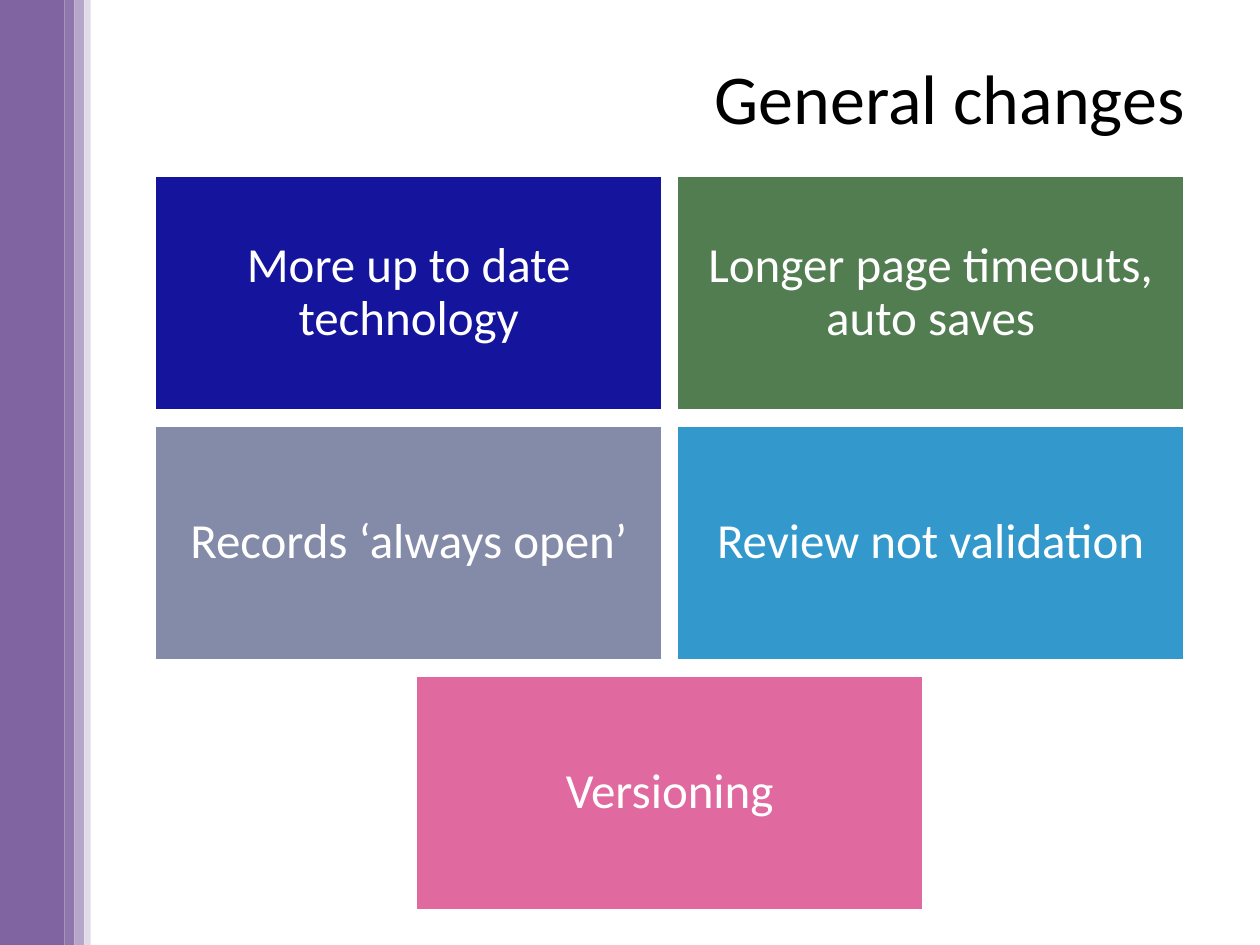
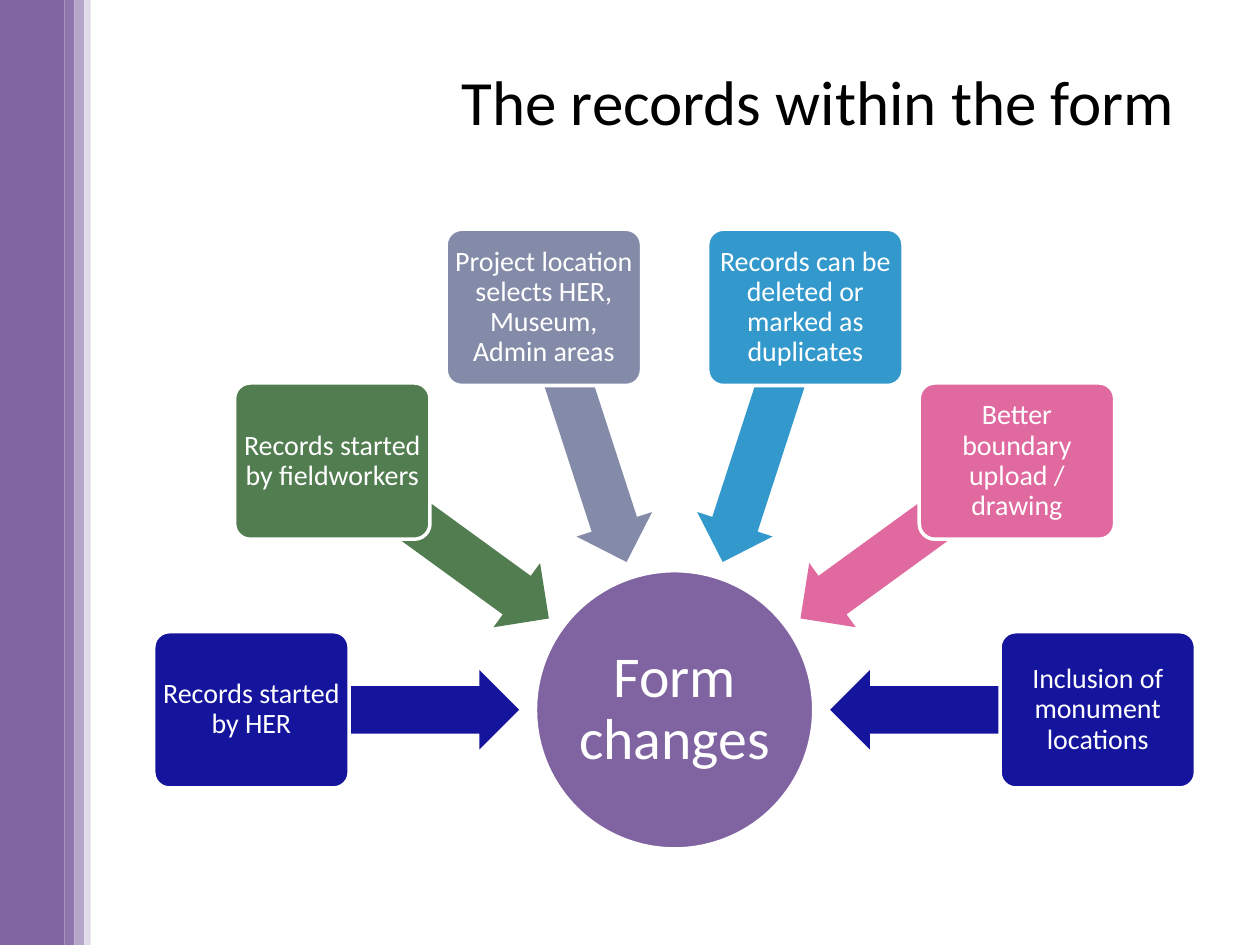
from math import cos, radians, sin

from pptx import Presentation
from pptx.dml.color import RGBColor
from pptx.enum.shapes import MSO_SHAPE as SHAPE
from pptx.enum.text import MSO_ANCHOR as ANCHOR, PP_ALIGN as ALIGN
from pptx.util import Cm, Pt

FONT = "Calibri"
WHITE = RGBColor(0xFF, 0xFF, 0xFF)
BLACK = RGBColor(0x00, 0x00, 0x00)
PURPLE = RGBColor(0x80, 0x64, 0xA2)
PURPLE_MID = RGBColor(0x8F, 0x77, 0xAD)
PURPLE_LIGHT = RGBColor(0xB6, 0xA6, 0xCA)
PURPLE_PALE = RGBColor(0xE1, 0xDB, 0xE9)
NAVY = RGBColor(0x14, 0x14, 0x9C)
GREEN = RGBColor(0x52, 0x7D, 0x51)
SLATE = RGBColor(0x84, 0x8B, 0xA8)
BLUE = RGBColor(0x33, 0x99, 0xCC)
PINK = RGBColor(0xE0, 0x6A, 0x9F)

SLIDE_W, SLIDE_H = 25.4, 19.05
STRIPES = [(1.3, PURPLE), (0.2, PURPLE_MID), (0.2, PURPLE_LIGHT), (0.13, PURPLE_PALE)]

CHANGES = [
    ("More up to date technology", NAVY),
    ("Longer page timeouts, auto saves", GREEN),
    ("Records ‘always open’", SLATE),
    ("Review not validation", BLUE),
    ("Versioning", PINK),
]
RECORDS = [
    ("Records started by HER", NAVY),
    ("Records started by fieldworkers", GREEN),
    ("Project location selects HER, Museum, Admin areas", SLATE),
    ("Records can be deleted or marked as duplicates", BLUE),
    ("Better boundary upload / drawing", PINK),
    ("Inclusion of monument locations", NAVY),
]


def add_block(s, kind, x, y, w, h, fill, outlined=False):
    """Add a flat filled shape, with a white outline if asked."""
    sp = s.shapes.add_shape(kind, Cm(x), Cm(y), Cm(w), Cm(h))
    sp.shadow.inherit = False
    sp.fill.solid()
    sp.fill.fore_color.rgb = fill
    if outlined:
        sp.line.color.rgb = WHITE
        sp.line.width = Pt(2)
    else:
        sp.line.fill.background()
    return sp


def write(sp, text, size, color, align, anchor):
    """Write one wrapped paragraph into a shape."""
    tf = sp.text_frame
    tf.word_wrap = True
    tf.vertical_anchor = anchor
    p = tf.paragraphs[0]
    p.text = text
    p.alignment = align
    p.font.name = FONT
    p.font.size = Pt(size)
    p.font.color.rgb = color
    return tf


def add_label(sp, text, size, inset):
    """Centre a white label inside a block."""
    tf = write(sp, text, size, WHITE, ALIGN.CENTER, ANCHOR.MIDDLE)
    tf.paragraphs[0].line_spacing = 0.9
    tf.margin_left = tf.margin_right = tf.margin_top = tf.margin_bottom = Cm(inset)


def add_stripes(s):
    """Draw the side stripes from the left edge."""
    x = 0
    for w, color in STRIPES:
        add_block(s, SHAPE.RECTANGLE, x, 0, w, SLIDE_H, color)
        x += w


def add_title(s, text, size, x, y, w, h):
    """Add the right-aligned slide title."""
    sp = s.shapes.add_textbox(Cm(x), Cm(y), Cm(w), Cm(h))
    write(sp, text, size, BLACK, ALIGN.RIGHT, ANCHOR.BOTTOM)


def add_tiles(s, tiles, x, y, w, h, columns=2, gap=0.28):
    """Fill a box with a grid of tiles, centring a short last row."""
    rows = [tiles[i:i + columns] for i in range(0, len(tiles), columns)]
    tile_w = (w - gap * (columns - 1)) / columns
    tile_h = (h - gap * (len(rows) - 1)) / len(rows)
    for r, row in enumerate(rows):
        indent = (columns - len(row)) * (tile_w + gap) / 2
        for c, (text, color) in enumerate(row):
            sp = add_block(s, SHAPE.RECTANGLE, x + indent + c * (tile_w + gap),
                           y + r * (tile_h + gap), tile_w, tile_h, color, True)
            add_label(sp, text, 28, 0.3)


def add_radial(s, hub_text, spokes, cx, cy, hub=5.61, arrow_r=5.84, box_r=8.53):
    """Fan boxes over a half circle, each with an arrow to the hub."""

    def centred(kind, radius, angle, w, h, fill, outlined=False):
        """Place a shape by its polar position around the hub."""
        x = cx + radius * cos(radians(angle)) - w / 2
        y = cy + radius * sin(radians(angle)) - h / 2
        return add_block(s, kind, x, y, w, h, fill, outlined)

    sp = centred(SHAPE.OVAL, 0, 0, hub, hub, PURPLE, True)
    add_label(sp, hub_text, 33, 0.05)
    for i, (text, color) in enumerate(spokes):
        angle = 180 + i * 180 / (len(spokes) - 1)
        arrow = centred(SHAPE.LEFT_ARROW, arrow_r, angle, 5.41, 1.6, color)
        arrow.adjustments[0], arrow.adjustments[1] = 0.6, 0.5
        arrow.rotation = angle % 360
        box = centred(SHAPE.ROUNDED_RECTANGLE, box_r, angle, 3.94, 3.15, color, True)
        box.adjustments[0] = 0.1
        add_label(box, text, 16, 0.08)


def new_slide(prs):
    """Add a blank slide with the side stripes."""
    s = prs.slides.add_slide(prs.slide_layouts[6])
    add_stripes(s)
    return s


def main():
    """Build and save both slides."""
    prs = Presentation()
    prs.slide_width, prs.slide_height = Cm(SLIDE_W), Cm(SLIDE_H)

    s = new_slide(prs)
    add_title(s, "General changes", 40, 3.1, 0.76, 21.03, 2.16)
    add_tiles(s, CHANGES, 3.12, 3.53, 20.76, 14.83)

    s = new_slide(prs)
    add_radial(s, "Form changes", RECORDS, 13.6, 14.31)
    add_title(s, "The records within the form", 36, 2.9, 1.12, 21.03, 1.78)

    prs.save("out.pptx")


if __name__ == "__main__":
    main()
